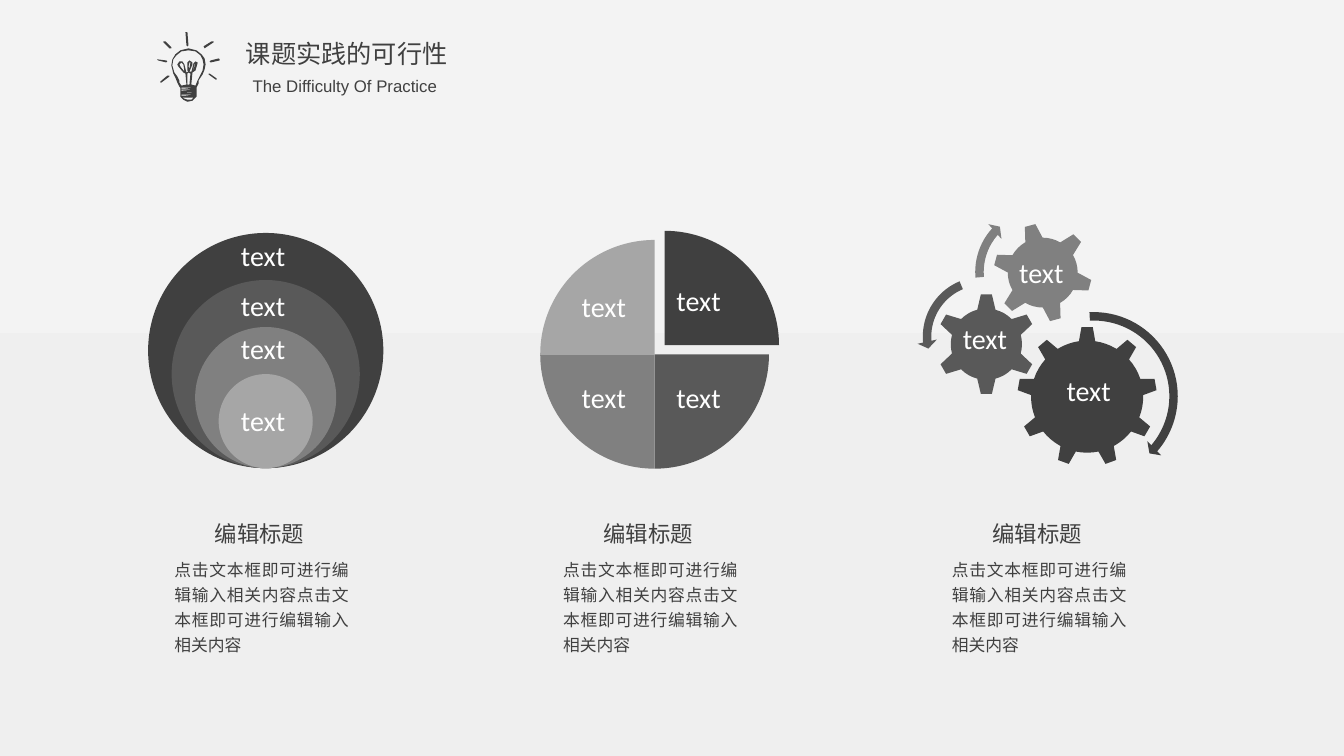
import pptx
import pptx.dml.color
import pptx.enum.shapes
import pptx.enum.text
import pptx.oxml.ns
import pptx.util
import lxml.etree

Pt = pptx.util.Pt
Kind = pptx.enum.shapes.MSO_SHAPE
Side = pptx.enum.text.PP_ALIGN
HUES = {"dark": "404040", "deep": "595959", "mid": "808080", "pale": "A6A6A6",
        "white": "FFFFFF", "low": "EFEFEF", "high": "F3F3F3"}
TONES = ["dark", "deep", "mid", "pale"]
HAN = "Noto Sans CJK SC"
BODY = "点击文本框即可进行编辑输入相关内容点击文本框即可进行编辑输入相关内容"

BULB = [
    [(187, 48), (179, 50), (174, 54), (171, 59), (170, 65), (172, 73), (174, 77), (176, 82),
     (178, 86), (179, 87), (179, 96), (182, 99), (186, 101), (191, 100), (193, 98), (195, 96),
     (195, 87), (197, 83), (197, 80), (201, 74), (203, 69), (204, 64), (203, 58), (200, 54),
     (195, 50)],
    [(199, 74), (196, 80), (194, 85), (190, 84), (190, 82), (191, 72), (194, 70), (196, 63),
     (196, 62), (194, 61), (192, 63), (190, 71), (188, 71), (191, 64), (191, 62), (188, 60),
     (186, 62), (186, 70), (187, 71), (185, 72), (183, 64), (181, 61), (178, 61), (176, 64),
     (177, 66), (182, 72), (184, 73), (185, 84), (180, 85), (178, 82), (178, 80), (176, 76),
     (173, 72), (171, 65), (172, 59), (175, 55), (180, 51), (187, 50), (194, 51), (199, 55),
     (201, 59), (202, 64), (201, 70)],
    [(186, 73), (187, 72), (189, 73), (188, 84), (186, 84)],
    [(187, 66), (188, 62), (189, 62), (188, 68)],
    [(194, 63), (192, 69), (191, 71), (193, 64)],
    [(183, 71), (179, 66), (178, 64), (180, 62), (182, 64)],
    [(180, 88), (180, 87), (193, 87), (183, 88)],
    [(180, 90), (180, 89), (193, 89)],
    [(180, 92), (193, 91), (188, 92)],
    [(180, 95), (180, 94), (192, 94), (183, 95)],
    [(181, 97), (192, 97), (190, 99), (186, 99), (183, 98)],
]
RAYS = [
    [(184, 32), (186, 32), (187, 45), (186, 46), (185, 45)],
    [(210, 41), (212, 41), (212, 42), (203, 48), (202, 46)],
    [(217, 58), (218, 59), (218, 60), (209, 62), (208, 61), (209, 60)],
    [(214, 79), (215, 79), (215, 78), (208, 73), (207, 73), (207, 74)],
    [(170, 48), (170, 47), (164, 41), (162, 41), (162, 42), (168, 48)],
    [(166, 61), (165, 60), (157, 59), (156, 59), (157, 60), (165, 62)],
    [(160, 82), (168, 76), (168, 75), (166, 75), (159, 81), (159, 82)],
]


class Deck:
    """Hold the style and the slide being drawn."""

    def __init__(self):
        self.file = pptx.Presentation()
        self.file.slide_width, self.file.slide_height = Pt(960), Pt(540)
        self.slide = self.file.slides.add_slide(self.file.slide_layouts[6])
        self.spot = self.slide.shapes

    def hue(self, name):
        return pptx.dml.color.RGBColor.from_string(HUES[name])

    def back(self, stops):
        fill = self.slide.background.fill
        fill.gradient()
        fill.gradient_angle = 90
        for stop, (place, name) in zip(fill.gradient_stops, stops):
            stop.position = place
            stop.color.rgb = self.hue(name)

    def group(self):
        self.spot = self.slide.shapes.add_group_shape().shapes

    def paint(self, shape, tone):
        shape.shadow.inherit = False
        shape.line.fill.background()
        if tone:
            shape.fill.solid()
            shape.fill.fore_color.rgb = self.hue(tone)
        else:
            shape.fill.background()

    def shape(self, kind, left, top, wide, high, tone=None, adjust=(), turn=0):
        shape = self.spot.add_shape(kind, Pt(left), Pt(top), Pt(wide), Pt(high))
        for i, value in enumerate(adjust):
            shape.adjustments[i] = value
        shape.rotation = turn
        self.paint(shape, tone)
        return shape

    def sketch(self, loops):
        pen = self.spot.build_freeform(*loops[0][0], scale=Pt(0.72))
        for i, loop in enumerate(loops):
            if i:
                pen.move_to(*loop[0])
            pen.add_line_segments(loop[1:], close=True)
        self.paint(pen.convert_to_shape(), "dark")

    def words(self, shape, text, size, font, tone="dark", side=Side.CENTER, space=None):
        frame = shape.text_frame
        frame.word_wrap = True
        para = frame.paragraphs[0]
        para.text = text
        para.alignment = side
        para.line_spacing = space
        para.font.size = Pt(size)
        para.font.color.rgb = self.hue(tone)
        para.font.name = font
        base = para._p.pPr.find(pptx.oxml.ns.qn("a:defRPr"))
        lxml.etree.SubElement(base, pptx.oxml.ns.qn("a:ea"), typeface=font)

    def text(self, left, top, wide, high, text, size, font, **style):
        box = self.slide.shapes.add_textbox(Pt(left), Pt(top), Pt(wide), Pt(high))
        self.words(box, text, size, font, **style)

    def label(self, left, top):
        self.text(left, top, 106.6, 31.7, "text", 20, "Calibri", tone="white")


def main():
    deck = Deck()
    deck.back([(0.12, "low"), (1, "high")])

    deck.group()
    deck.sketch(BULB)
    for ray in RAYS:
        deck.sketch([ray])
    deck.spot = deck.slide.shapes
    deck.text(52.6, 23.8, 390, 28.8, "课题实践的可行性", 18, HAN)
    strap = deck.shape(Kind.SNIP_1_RECTANGLE, 50.4, 50.4, 395.3, 21.6, adjust=[0])
    deck.words(strap, "The Difficulty Of Practice ", 12, "Arial")

    deck.group()
    for i, tone in enumerate(TONES):
        size = 168 * (1 - i / 5)
        deck.shape(Kind.OVAL, 189.8 - size / 2, 334.4 - size, size, size, tone)

    deck.group()
    for i, tone in enumerate(TONES):
        start = (i + 3) % 4 * 54
        left, top = (385.9, 171.4) if i else (393.1, 164.9)
        deck.shape(Kind.PIE, left, top, 163.4, 163.4, tone, [start, (start + 54) % 216])

    deck.group()
    for kind, left, top, size, tone, turn in [
            (Kind.GEAR_9, 726.5, 233.3, 100.1, "dark", 0),
            (Kind.GEAR_6, 668.2, 209.5, 72.7, "deep", 0),
            (Kind.GEAR_6, 709.2, 159.1, 71.3, "mid", 345)]:
        deck.shape(kind, left, top, size, size, tone, turn=turn)
    for kind, left, top, size, tone, adjust in [
            (Kind.CIRCULAR_ARROW, 717.1, 218.9, 128.2, "dark",
             [0.047, 2.99, 24.436, 160.276, 0.055]),
            (Kind.LEFT_CIRCULAR_ARROW, 655.2, 193.7, 93.6, "deep",
             [0.065, 4.3, 104.891, 148.378, 0.075]),
            (Kind.CIRCULAR_ARROW, 692.6, 144, 100.8, "mid",
             [0.06, 3.941, 133.138, 105.082, 0.07])]:
        deck.shape(kind, left, top, size, size, tone, adjust)

    for top in (284.4, 233.3, 202.3, 167):
        deck.label(134.6, top)
    for place in [(378, 203), (378, 268.6), (445.7, 268.6), (445.7, 198.7),
                  (690.5, 179.3), (724.3, 263.5), (650.2, 226.1)]:
        deck.label(*place)

    for i in range(3):
        shift = 277.7 * i
        deck.text(117.4 + shift, 392.4, 139, 79.9, BODY, 12, HAN,
                  side=Side.JUSTIFY, space=1.25)
        deck.text(141.8 + shift, 367.9, 87.1, 26.6, "编辑标题", 16, HAN)
    deck.file.save("out.pptx")


if __name__ == "__main__":
    main()
